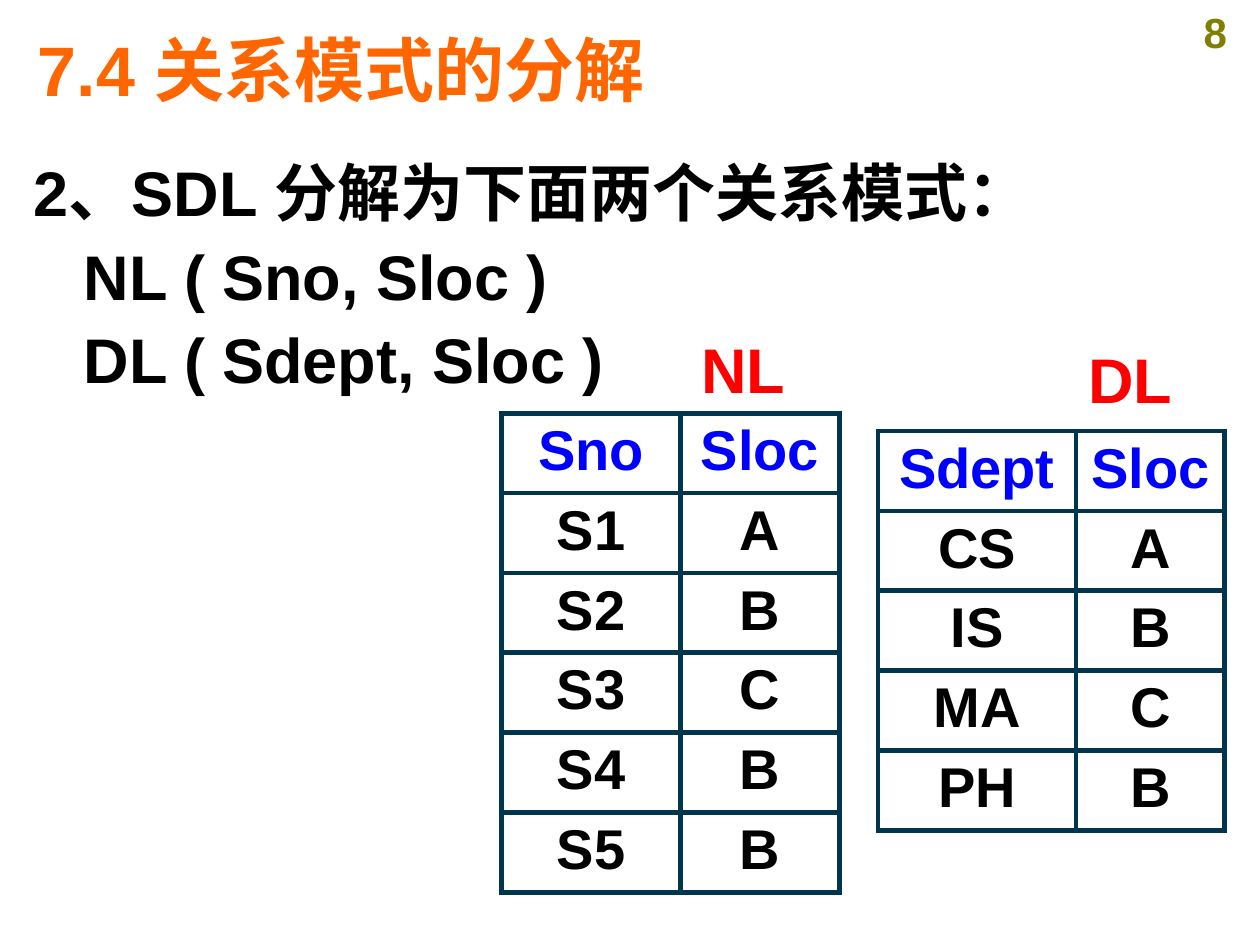
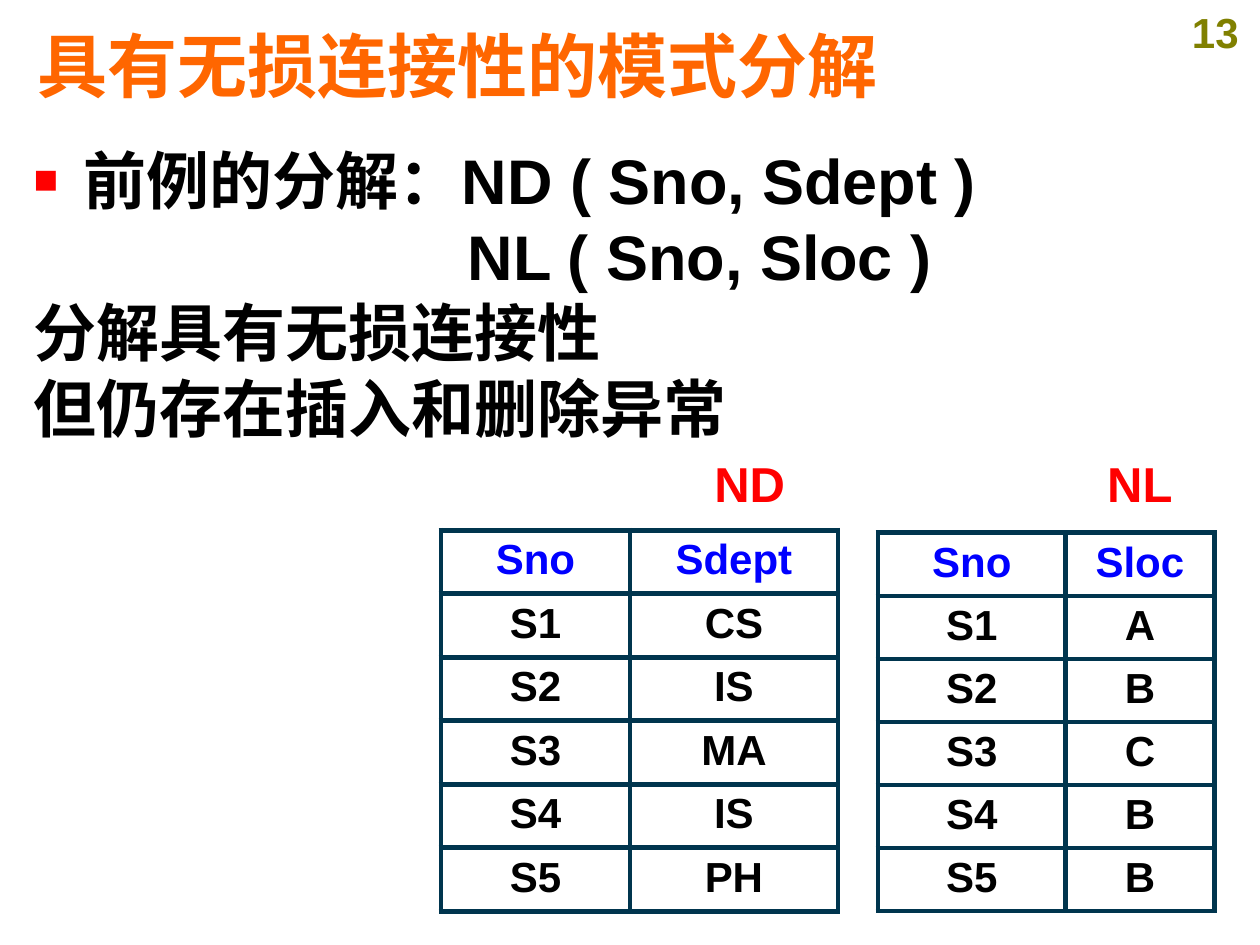
from lxml import etree
from pptx import Presentation
from pptx.dml.color import RGBColor
from pptx.enum.text import MSO_ANCHOR, MSO_AUTO_SIZE, PP_ALIGN
from pptx.oxml.ns import qn
from pptx.util import Cm, Pt

LEFT, CENTER = PP_ALIGN.LEFT, PP_ALIGN.CENTER
MIDDLE = MSO_ANCHOR.MIDDLE
NO_AUTOFIT = MSO_AUTO_SIZE.NONE

FONT = "Arial"
ORANGE = RGBColor(0xFF, 0x66, 0x00)
OLIVE = RGBColor(0x80, 0x80, 0x00)
RED = RGBColor(0xFF, 0x00, 0x00)
BLUE = RGBColor(0x00, 0x00, 0xFF)
BLACK = RGBColor(0x00, 0x00, 0x00)
NAVY = RGBColor(0x00, 0x35, 0x4E)

TITLE_ONLY = 5
BODY_INDENT = Cm(1.01)


def write(p, text, size, color, align=LEFT):
    """Fill a paragraph with one bold run in the deck font."""
    p.alignment = align
    r = p.add_run()
    r.text = text
    r.font.size = Pt(size)
    r.font.bold = True
    r.font.name = FONT
    r.font.color.rgb = color
    ea = etree.SubElement(r._r.get_or_add_rPr(), qn("a:ea"))
    ea.set("typeface", FONT)


def add_text(slide, box, text, size, color, align=LEFT, wrap=True):
    tf = slide.shapes.add_textbox(*map(Cm, box)).text_frame
    tf.word_wrap = wrap
    write(tf.paragraphs[0], text, size, color, align)


def add_title_slide(prs, title, number, top):
    slide = prs.slides.add_slide(prs.slide_layouts[TITLE_ONLY])
    sp = slide.shapes.title
    sp.left, sp.top, sp.width, sp.height = map(Cm, (0.51, top, 24.05, 1.93))
    tf = sp.text_frame
    tf.auto_size = NO_AUTOFIT
    tf.vertical_anchor = MIDDLE
    write(tf.paragraphs[0], title, 40, ORANGE)
    add_text(slide, (23.6, 0, 1.8, 1.27), number, 24, OLIVE, CENTER)
    return slide


def set_bullet(p):
    """Give a paragraph a hanging red square."""
    pPr = p._p.get_or_add_pPr()
    pPr.set("indent", str(-BODY_INDENT))
    color = etree.SubElement(pPr, qn("a:buClr"))
    etree.SubElement(color, qn("a:srgbClr")).set("val", str(RED))
    etree.SubElement(pPr, qn("a:buSzPct")).set("val", "65000")
    etree.SubElement(pPr, qn("a:buFont")).set("typeface", FONT)
    etree.SubElement(pPr, qn("a:buChar")).set("char", "■")


def add_body(slide, box, lines, pitch):
    """Write lines of (text, left margin, bulleted) at a fixed line pitch."""
    tf = slide.shapes.add_textbox(*map(Cm, box)).text_frame
    tf.word_wrap = True
    for i, (text, margin, bulleted) in enumerate(lines):
        p = tf.add_paragraph() if i else tf.paragraphs[0]
        p.line_spacing = Pt(pitch)
        p._p.get_or_add_pPr().set("marL", str(margin))
        if bulleted:
            set_bullet(p)
        write(p, text, 36, BLACK)


def set_borders(cell):
    tcPr = cell._tc.get_or_add_tcPr()
    for i, side in enumerate(("lnL", "lnR", "lnT", "lnB")):
        ln = etree.Element(qn(f"a:{side}"), w=str(Pt(3)))
        fill = etree.SubElement(ln, qn("a:solidFill"))
        etree.SubElement(fill, qn("a:srgbClr")).set("val", str(NAVY))
        tcPr.insert(i, ln)


def add_relation(slide, left, top, widths, row_height, rows, size):
    """Draw a relation as a bordered table with a blue header row."""
    frame = slide.shapes.add_table(
        len(rows), len(widths), Cm(left), Cm(top),
        Cm(sum(widths)), Cm(row_height * len(rows)))
    table = frame.table
    table.first_row = table.horz_banding = False
    for column, width in zip(table.columns, widths):
        column.width = Cm(width)
    for i, values in enumerate(rows):
        table.rows[i].height = Cm(row_height)
        for j, value in enumerate(values):
            cell = table.cell(i, j)
            cell.fill.background()
            set_borders(cell)
            write(cell.text_frame.paragraphs[0], value, size,
                  BLACK if i else BLUE, CENTER)


def add_label(slide, left, top, width, text, size):
    add_text(slide, (left, top, width, size * 0.05), text, size, RED, wrap=False)


def build_split_slide(prs, nl_rows):
    slide = add_title_slide(prs, "7.4 关系模式的分解", "8", 0.41)
    add_body(slide, (0.43, 2.82, 23.88, 15.21), [
        ("2、SDL 分解为下面两个关系模式：", 0, False),
        ("NL ( Sno, Sloc )", BODY_INDENT, False),
        ("DL ( Sdept, Sloc )", BODY_INDENT, False),
    ], 47.7)
    dl_rows = [("Sdept", "Sloc"), ("CS", "A"), ("IS", "B"), ("MA", "C"), ("PH", "B")]
    add_relation(slide, 17.7, 8.69, (3.99, 3.0), 1.52, dl_rows, 32)
    add_label(slide, 13.89, 6.53, 2.21, "NL", 36)
    add_relation(slide, 10.11, 8.33, (3.61, 3.2), 1.61, nl_rows, 32)
    add_label(slide, 21.69, 6.73, 2.21, "DL", 36)


def build_lossless_slide(prs, nl_rows):
    slide = add_title_slide(prs, "具有无损连接性的模式分解", "13", 0.33)
    add_body(slide, (0.43, 2.72, 24.49, 15.21), [
        ("前例的分解：ND ( Sno, Sdept )", BODY_INDENT, True),
        ("NL ( Sno, Sloc )", Cm(8.75), False),
        ("分解具有无损连接性", 0, False),
        ("但仍存在插入和删除异常", 0, False),
    ], 43.4)
    nd_rows = [("Sno", "Sdept"), ("S1", "CS"), ("S2", "IS"), ("S3", "MA"),
               ("S4", "IS"), ("S5", "PH")]
    add_label(slide, 14.15, 9.02, 1.93, "ND", 28)
    add_relation(slide, 8.89, 10.69, (3.81, 4.19), 1.28, nd_rows, 24)
    add_label(slide, 22.07, 9.02, 1.83, "NL", 28)
    add_relation(slide, 17.7, 10.74, (3.78, 3.0), 1.27, nl_rows, 24)


def main():
    prs = Presentation()
    prs.slide_width, prs.slide_height = Cm(25.4), Cm(19.05)
    nl_rows = [("Sno", "Sloc"), ("S1", "A"), ("S2", "B"), ("S3", "C"),
               ("S4", "B"), ("S5", "B")]
    build_split_slide(prs, nl_rows)
    build_lossless_slide(prs, nl_rows)
    prs.save("out.pptx")


if __name__ == "__main__":
    main()
